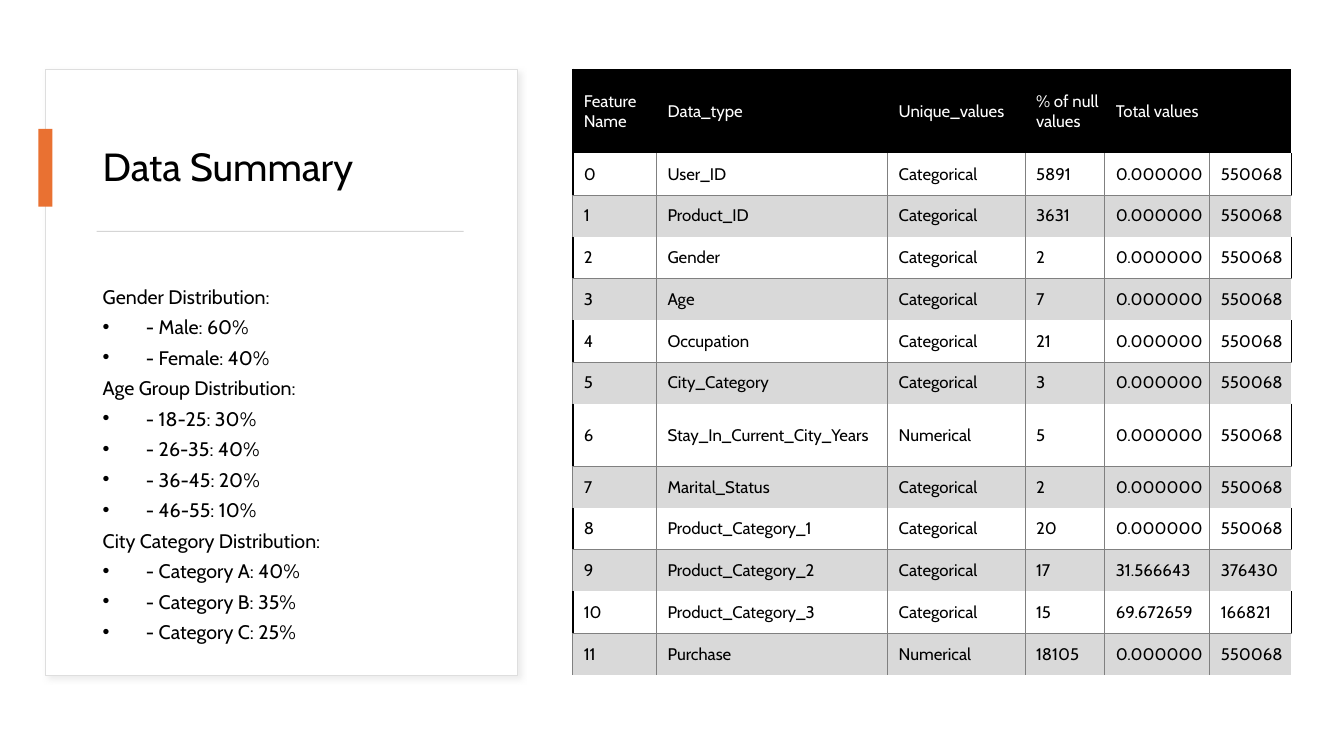
from lxml.etree import SubElement
from pptx import Presentation
from pptx.dml.color import RGBColor
from pptx.enum.shapes import MSO_SHAPE as Shape
from pptx.enum.text import MSO_ANCHOR as Anchor
from pptx.oxml import parse_xml
from pptx.oxml.ns import nsdecls, qn
from pptx.util import Inches, Pt

FONT = "Cabin"
BLACK, WHITE, GRAY, BAND = "000000", "FFFFFF", "808080", "D9D9D9"
THICK, THIN = (BLACK, 1.5), (GRAY, 0.5)

DISTRIBUTIONS = {
    "Gender Distribution:": ["Male: 60%", "Female: 40%"],
    "Age Group Distribution:": [
        "18-25: 30%", "26-35: 40%", "36-45: 20%", "46-55: 10%"],
    "City Category Distribution:": [
        "Category A: 40%", "Category B: 35%", "Category C: 25%"],
}
HEADINGS = ["Feature Name", "Data_type", "Unique_values",
            "% of null values", "Total values", ""]
FEATURES = [
    ("User_ID", "Categorical", "5891", "0.000000", "550068"),
    ("Product_ID", "Categorical", "3631", "0.000000", "550068"),
    ("Gender", "Categorical", "2", "0.000000", "550068"),
    ("Age", "Categorical", "7", "0.000000", "550068"),
    ("Occupation", "Categorical", "21", "0.000000", "550068"),
    ("City_Category", "Categorical", "3", "0.000000", "550068"),
    ("Stay_In_Current_City_Years", "Numerical", "5", "0.000000", "550068"),
    ("Marital_Status", "Categorical", "2", "0.000000", "550068"),
    ("Product_Category_1", "Categorical", "20", "0.000000", "550068"),
    ("Product_Category_2", "Categorical", "17", "31.566643", "376430"),
    ("Product_Category_3", "Categorical", "15", "69.672659", "166821"),
    ("Purchase", "Numerical", "18105", "0.000000", "550068"),
]
COLUMN_WIDTHS = [0.83, 2.29, 1.36, 0.79, 1.04, 0.81]
HEADER_HEIGHT, TALL_HEIGHT, TALL_ROW = 0.83, 0.62, 7


def rgb(color):
    return RGBColor.from_string(color)


def apply(target, values):
    for name, value in values.items():
        setattr(target, name, value)


def write(paragraph, text, size, color=BLACK):
    run = paragraph.add_run()
    run.text = text
    apply(run.font, {"name": FONT, "size": Pt(size)})
    run.font.color.rgb = rgb(color)


def add_block(slide, left, top, width, height, fill, line=None):
    block = slide.shapes.add_shape(
        Shape.RECTANGLE, *map(Inches, (left, top, width, height)))
    block.shadow.inherit = False
    block.fill.solid()
    block.fill.fore_color.rgb = rgb(fill)
    if line:
        block.line.color.rgb = rgb(line)
        block.line.width = Pt(0.75)
    else:
        block.line.fill.background()
    return block


def add_frame(slide, left, top, width, height, anchor):
    frame = slide.shapes.add_textbox(
        *map(Inches, (left, top, width, height))).text_frame
    apply(frame, {"word_wrap": True, "vertical_anchor": anchor})
    return frame


def add_shadow(card):
    effects = card._element.spPr.find(qn("a:effectLst"))
    effects.append(parse_xml(
        f'<a:outerShdw {nsdecls("a")} blurRad="{Pt(4)}" dist="{Pt(3)}" '
        f'dir="2700000" algn="tl" rotWithShape="0"><a:srgbClr val="{BAND}">'
        '<a:alpha val="50000"/></a:srgbClr></a:outerShdw>'))


def add_bullet(paragraph):
    properties = paragraph._p.get_or_add_pPr()
    indent = Inches(0.43)
    properties.set("marL", str(indent))
    properties.set("indent", str(-indent))
    SubElement(properties, qn("a:buFont"), typeface="Arial")
    SubElement(properties, qn("a:buChar"), char="•")


def add_distributions(slide, left, top, width, height):
    frame = add_frame(slide, left, top, width, height, Anchor.TOP)
    lines = [(text, bulleted)
             for heading, shares in DISTRIBUTIONS.items()
             for text, bulleted in
             [(heading, False)] + [(f"- {share}", True) for share in shares]]
    for index, (text, bulleted) in enumerate(lines):
        paragraph = frame.add_paragraph() if index else frame.paragraphs[0]
        apply(paragraph, {"line_spacing": 0.7,
                          "space_before": Pt(10 if index else 0)})
        if bulleted:
            add_bullet(paragraph)
        write(paragraph, text, 14)


def add_summary(slide, left, top, width, height):
    add_shadow(add_block(slide, left, top, width, height, WHITE, "DEDEDE"))
    title = add_frame(slide, left + 0.47, top + 0.38, 3.73, 1.21,
                      Anchor.MIDDLE).paragraphs[0]
    title.line_spacing = 0.9
    write(title, "Data Summary", 28)
    add_block(slide, left - 0.07, top + 0.59, 0.14, 0.77, "E97132")
    add_block(slide, left + 0.51, top + 1.6, 3.64, 0.01, "D5D5D5")
    add_distributions(slide, left + 0.47, top + 2.15, 3.73, height - 2.36)


def cell_style(row, column):
    first, last = column == 0, column == len(HEADINGS) - 1
    if row == 0:
        return BLACK, WHITE, {"L": THICK if first else None, "T": THICK}
    if row % 2:
        return None, BLACK, {"L": THICK if first else THIN,
                             "R": THICK if last else THIN, "B": THIN}
    return BAND, BLACK, {"L": THIN, "R": None if last else THIN, "T": THIN}


def set_borders(cell, borders):
    properties = cell._tc.get_or_add_tcPr()
    for side in "LRTB":
        border = SubElement(properties, qn(f"a:ln{side}"))
        if borders.get(side):
            color, width = borders[side]
            border.set("w", str(Pt(width)))
            paint = SubElement(border, qn("a:solidFill"))
            SubElement(paint, qn("a:srgbClr"), val=color)
        else:
            SubElement(border, qn("a:noFill"))


def fill_cell(cell, text, row, column):
    fill, color, borders = cell_style(row, column)
    apply(cell, {"vertical_anchor": Anchor.MIDDLE,
                 "margin_left": Inches(0.11), "margin_right": Inches(0.05),
                 "margin_top": Inches(0.09), "margin_bottom": Inches(0.09)})
    set_borders(cell, borders)
    if fill:
        cell.fill.solid()
        cell.fill.fore_color.rgb = rgb(fill)
    else:
        cell.fill.background()
    if text:
        write(cell.text_frame.paragraphs[0], text, 12, color)


def add_features(slide, left, top, width, height):
    records = [HEADINGS] + [(str(index), *feature)
                            for index, feature in enumerate(FEATURES)]
    table = slide.shapes.add_table(
        len(records), len(HEADINGS),
        *map(Inches, (left, top, width, height))).table
    apply(table, {"first_row": False, "horz_banding": False})
    for column, share in zip(table.columns, COLUMN_WIDTHS):
        column.width = Inches(width * share / sum(COLUMN_WIDTHS))
    special = {0: HEADER_HEIGHT, TALL_ROW: TALL_HEIGHT}
    regular = (height - sum(special.values())) / (len(records) - len(special))
    for row, record in enumerate(records):
        table.rows[row].height = Inches(special.get(row, regular))
        for column, text in enumerate(record):
            fill_cell(table.cell(row, column), text, row, column)


def main():
    deck = Presentation()
    apply(deck, {"slide_width": Inches(13.33), "slide_height": Inches(7.5)})
    slide = deck.slides.add_slide(deck.slide_layouts[6])
    add_summary(slide, 0.45, 0.69, 4.68, 6.01)
    add_features(slide, 5.68, 0.69, 7.13, 6.01)
    deck.save("out.pptx")


if __name__ == "__main__":
    main()
